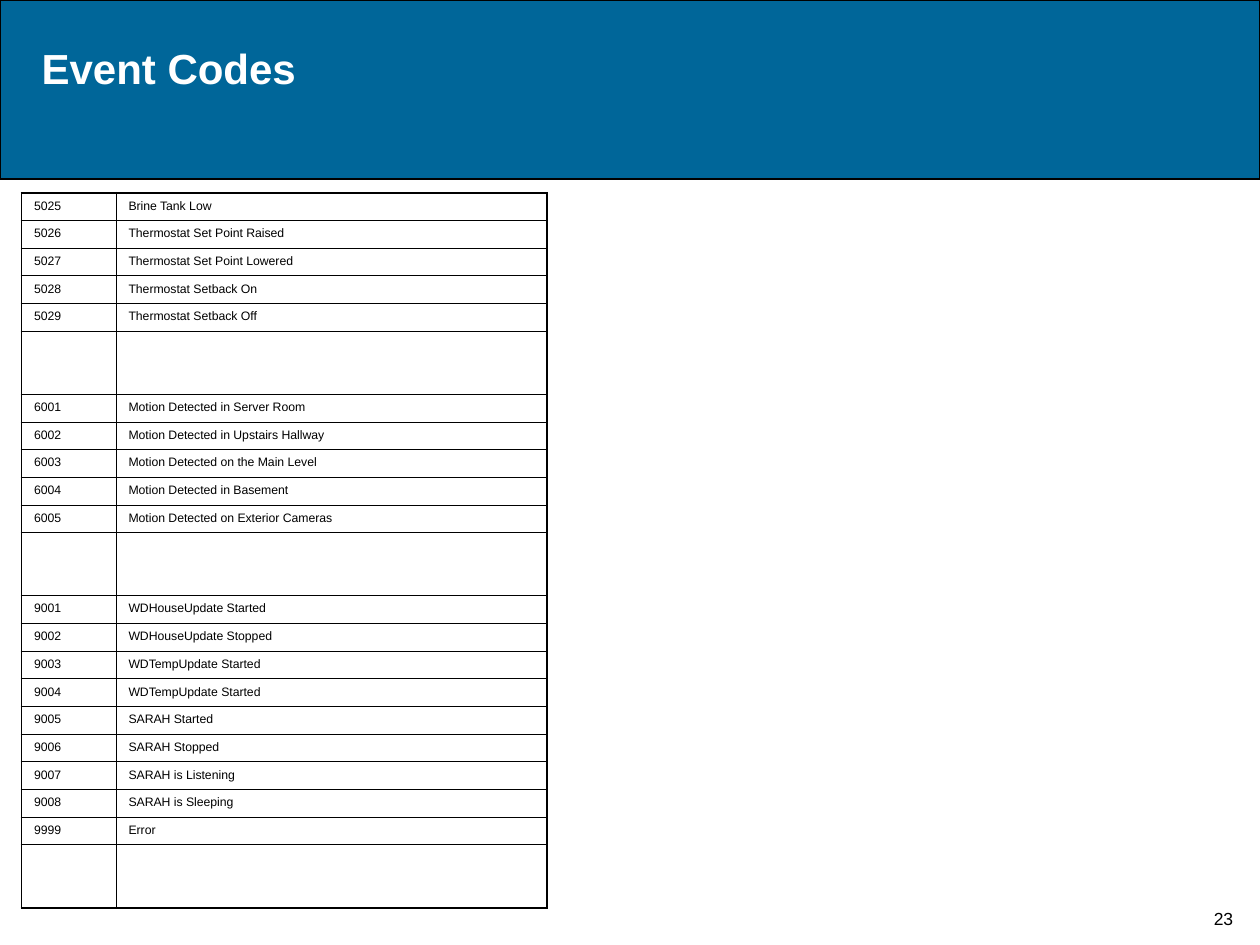
from dataclasses import dataclass

import pptx
import pptx.dml.color
import pptx.enum.shapes
import pptx.enum.text
import pptx.oxml
import pptx.oxml.ns
import pptx.util

Inches, Pt = pptx.util.Inches, pptx.util.Pt
RGB = pptx.dml.color.RGBColor.from_string
Align, Anchor = pptx.enum.text.PP_ALIGN, pptx.enum.text.MSO_ANCHOR


@dataclass(frozen=True)
class Theme:
    font: str = "Arial"
    band: str = "006699"
    ink: str = "000000"
    light: str = "FFFFFF"
    title_size: float = 24
    cell_size: float = 7
    number_size: float = 10
    outer_line: float = 1.08
    inner_line: float = 0.45


@dataclass(frozen=True)
class Event:
    code: str = ""
    name: str = ""


THEME = Theme()
COL_WIDTHS = (0.75, 3.42)
ROW_HEIGHT, GAP_HEIGHT = 0.22, 0.5

# Consecutive codes in each group; an empty row closes every group
GROUPS = {
    5025: ["Brine Tank Low", "Thermostat Set Point Raised", "Thermostat Set Point Lowered",
           "Thermostat Setback On", "Thermostat Setback Off"],
    6001: ["Motion Detected in Server Room", "Motion Detected in Upstairs Hallway",
           "Motion Detected on the Main Level", "Motion Detected in Basement",
           "Motion Detected on Exterior Cameras"],
    9001: ["WDHouseUpdate Started", "WDHouseUpdate Stopped", "WDTempUpdate Started",
           "WDTempUpdate Started", "SARAH Started", "SARAH Stopped",
           "SARAH is Listening", "SARAH is Sleeping"],
}
ERROR = Event("9999", "Error")


def event_rows() -> list[Event]:
    rows = []
    for first, names in GROUPS.items():
        rows += [Event(str(code), name) for code, name in enumerate(names, first)]
        if first == 9001:
            rows.append(ERROR)
        rows.append(Event())
    return rows


def write(tf, text: str, size: float, color: str, bold: bool = False,
          align=Align.LEFT) -> None:
    p = tf.paragraphs[0]
    p.alignment = align
    r = p.add_run()
    r.text = text
    for name, value in {"name": THEME.font, "size": Pt(size), "bold": bold}.items():
        setattr(r.font, name, value)
    r.font.color.rgb = RGB(color)


def place(sp, left: float, top: float, width: float, height: float) -> None:
    box = {"left": left, "top": top, "width": width, "height": height}
    for name, value in box.items():
        setattr(sp, name, Inches(value))


def set_borders(cell, widths: dict[str, float]) -> None:
    tc_pr = cell._tc.get_or_add_tcPr()
    for side, width in widths.items():
        tc_pr.append(pptx.oxml.parse_xml(
            f'<a:ln{side} {pptx.oxml.ns.nsdecls("a")} w="{Pt(width)}">'
            f'<a:solidFill><a:srgbClr val="{THEME.ink}"/></a:solidFill></a:ln{side}>'))


def add_band(s) -> None:
    sp = s.shapes.add_shape(pptx.enum.shapes.MSO_SHAPE.RECTANGLE,
                            0, 0, Inches(10), Inches(1.42))
    sp.shadow.inherit = False
    sp.fill.solid()
    sp.fill.fore_color.rgb = RGB(THEME.band)
    sp.line.color.rgb = RGB(THEME.ink)
    sp.line.width = Pt(1)
    s.shapes._spTree.insert(2, sp._element)  # behind the title


def add_title(s, text: str) -> None:
    sp = s.shapes.title
    place(sp, 0.23, 0.29, 9.43, 0.5)
    tf = sp.text_frame
    settings = {"vertical_anchor": Anchor.TOP, "word_wrap": True,
                "auto_size": pptx.enum.text.MSO_AUTO_SIZE.SHAPE_TO_FIT_TEXT}
    for name, value in settings.items():
        setattr(tf, name, value)
    write(tf, text, THEME.title_size, THEME.light, bold=True)


def add_event_table(s, events: list[Event]) -> None:
    heights = [ROW_HEIGHT if e.code else GAP_HEIGHT for e in events]
    last_row, last_col = len(events) - 1, len(COL_WIDTHS) - 1
    table = s.shapes.add_table(len(events), len(COL_WIDTHS), Inches(0.17), Inches(1.53),
                               Inches(sum(COL_WIDTHS)), Inches(sum(heights))).table
    table.first_row = table.horz_banding = False
    for col, width in zip(table.columns, COL_WIDTHS):
        col.width = Inches(width)
    for i, (event, height) in enumerate(zip(events, heights)):
        table.rows[i].height = Inches(height)
        for j, text in enumerate((event.code, event.name)):
            cell = table.cell(i, j)
            edges = {"L": j == 0, "R": j == last_col, "T": i == 0, "B": i == last_row}
            set_borders(cell, {side: THEME.outer_line if outer else THEME.inner_line
                               for side, outer in edges.items()})
            cell.fill.background()
            if text:
                write(cell.text_frame, text, THEME.cell_size, THEME.ink)


def add_slide_number(s, number: str) -> None:
    sp = s.shapes.add_textbox(0, 0, 0, 0)
    place(sp, 9.5, 6.92, 0.42, 0.5)
    tf = sp.text_frame
    tf.word_wrap = False
    tf.vertical_anchor = Anchor.BOTTOM
    write(tf, number, THEME.number_size, THEME.ink, align=Align.CENTER)


def main() -> None:
    prs = pptx.Presentation()
    prs.slide_width, prs.slide_height = Inches(10), Inches(7.5)
    s = prs.slides.add_slide(prs.slide_layouts[5])  # title only

    # Header
    add_band(s)
    add_title(s, "Event Codes")

    # Body and footer
    add_event_table(s, event_rows())
    add_slide_number(s, "23")
    prs.save("out.pptx")


if __name__ == "__main__":
    main()
